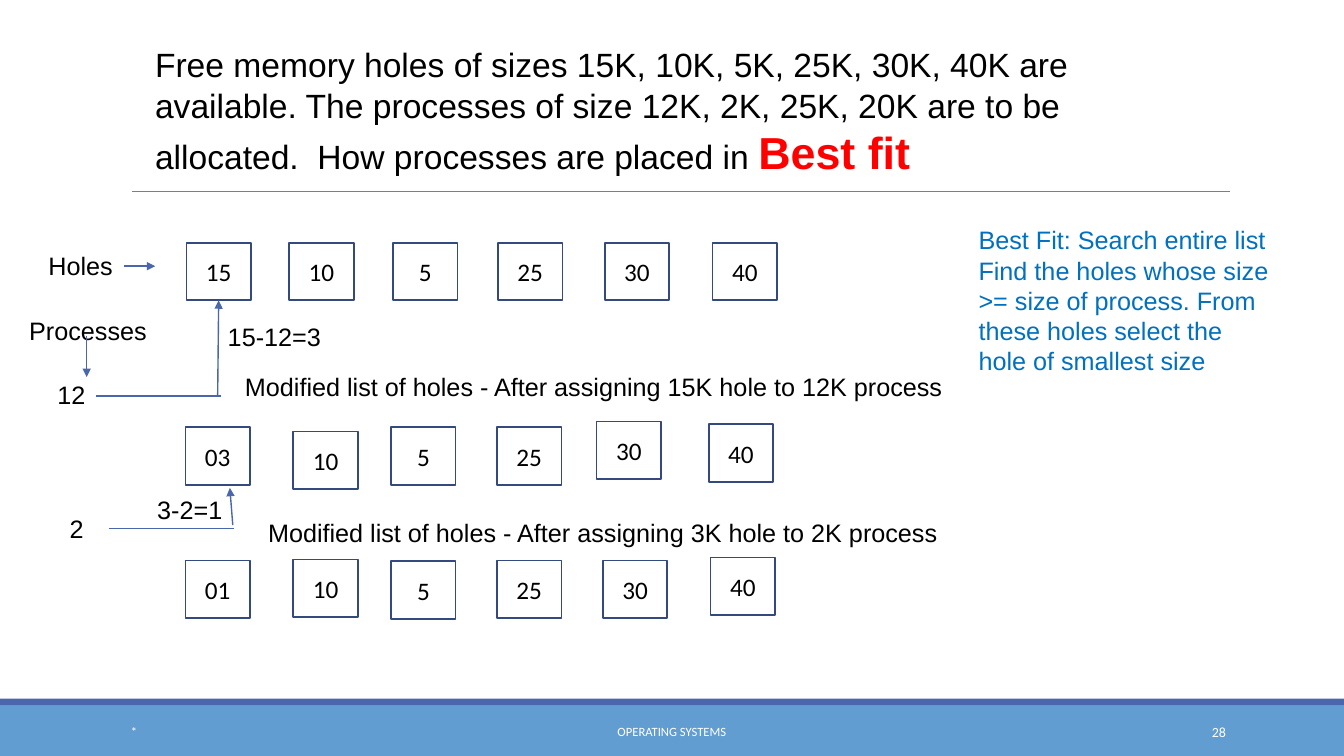
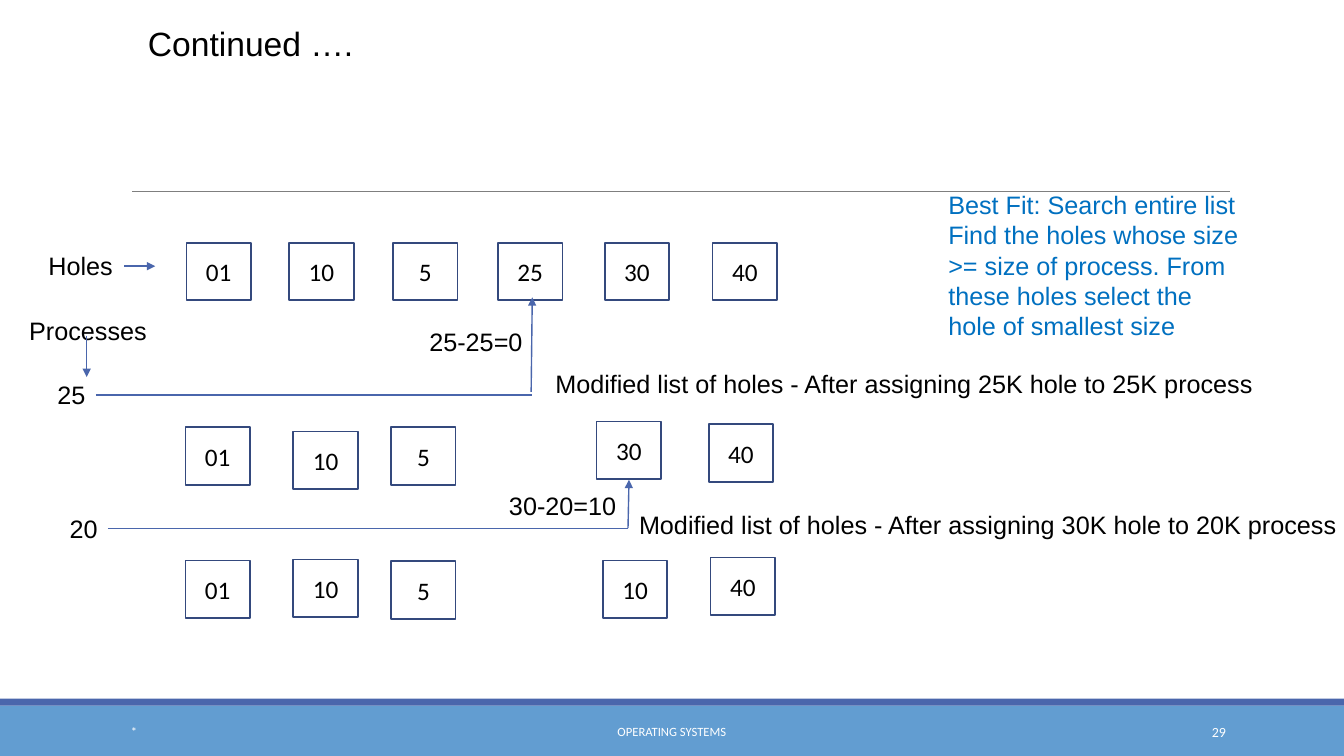
from pptx import Presentation
from pptx.dml.color import RGBColor
from pptx.enum.shapes import MSO_CONNECTOR as Connector, MSO_SHAPE as Shape
from pptx.enum.text import MSO_ANCHOR as Anchor, PP_ALIGN as Align
from pptx.oxml.ns import qn
from pptx.util import Pt
from lxml.etree import SubElement

WIDTH, HEIGHT = 960, 540
BOX_WIDTH, BOX_HEIGHT = 46.1, 41

# Left and top of the six boxes in each row of holes
ROWS = [
    [(133.2, 173.5), (206.6, 173.5), (280.8, 173.5),
     (355.7, 173.5), (432, 173.5), (509, 173.5)],
    [(132.5, 305.3), (209.5, 308.2), (279.4, 305.3),
     (355, 305.3), (426.2, 301), (506.2, 303.1)],
    [(132.5, 400.3), (209.5, 399.6), (279.4, 401),
     (355, 400.3), (430.6, 400.3), (507.6, 398.2)],
]
PROCESS_PLACES = [(41, 270.7), (49.7, 366.5)]
NOTE = [
    "Best Fit: Search entire list",
    "Find the holes whose size >= size of process. "
    "From these holes select the hole of smallest size",
]


def color(value):
    return RGBColor.from_string(value)


class Deck:
    BLACK, WHITE, RED, NOTE_BLUE = "000000", "FFFFFF", "FF0000", "0070C0"
    BAND, ACCENT, BOX_LINE, RULE = "629DD1", "4A66AC", "34497D", "7F7F7F"
    BODY_FONT, BOX_FONT = "Arial", "Calibri"

    def __init__(self):
        self.presentation = Presentation()
        self.presentation.slide_width = Pt(WIDTH)
        self.presentation.slide_height = Pt(HEIGHT)
        self.slide = None

    def new_slide(self, number):
        """Add a blank slide with the shared rule, bands and footer."""
        layout = self.presentation.slide_layouts[6]
        self.slide = self.presentation.slides.add_slide(layout)
        self.line((94.5, 136.8), (878.4, 136.8), self.RULE, 0.75)
        self.rectangle(0, 504, WIDTH, 36, fill=self.BAND)
        self.rectangle(0, 499, WIDTH, 5, fill=self.ACCENT)
        footers = [
            (86.4, 194.4, "*", 9, Align.LEFT),
            (290.2, 379.4, "OPERATING SYSTEMS", 9, Align.CENTER),
            (779.8, 103, str(number), 10, Align.RIGHT),
        ]
        for left, width, text, size, align in footers:
            self.text(left, 508.3, width, [text], height=28.8, size=size,
                      font=self.BOX_FONT, ink=self.WHITE, align=align,
                      anchor=Anchor.MIDDLE)

    def add_run(self, paragraph, text, size, font, ink, bold=False):
        run = paragraph.add_run()
        run.text = text
        style = {"size": Pt(size), "name": font, "bold": bold}
        for name, value in style.items():
            setattr(run.font, name, value)
        run.font.color.rgb = color(ink)

    def fill_frame(self, frame, lines, size, font, ink, align, anchor):
        """Fill a text frame with one paragraph for each line."""
        frame.word_wrap = True
        frame.vertical_anchor = anchor
        for index, line in enumerate(lines):
            paragraph = frame.add_paragraph() if index else frame.paragraphs[0]
            paragraph.alignment = align
            self.add_run(paragraph, line, size, font, ink)

    def text(self, left, top, width, lines, height=28.8, size=18,
             font=BODY_FONT, ink=BLACK, align=Align.LEFT, anchor=Anchor.TOP,
             inset=True):
        shape = self.slide.shapes.add_textbox(
            Pt(left), Pt(top), Pt(width), Pt(height))
        frame = shape.text_frame
        if not inset:
            for side in ("left", "right", "top", "bottom"):
                setattr(frame, f"margin_{side}", 0)
        self.fill_frame(frame, lines, size, font, ink, align, anchor)
        return shape

    def label(self, place, text):
        left, top = place
        self.text(left, top, min(520, WIDTH - left), [text], height=21.6,
                  inset=False)

    def title(self, left, top, height, text, emphasis=""):
        shape = self.text(left, top, 700, [text], height=height, size=24)
        if emphasis:
            self.add_run(shape.text_frame.paragraphs[0], emphasis, 32,
                         self.BODY_FONT, self.RED, bold=True)

    def note(self, left, top):
        self.text(left, top, 223.2, NOTE, height=116.6, ink=self.NOTE_BLUE)

    def rectangle(self, left, top, width, height, fill=None, outline=None):
        shape = self.slide.shapes.add_shape(
            Shape.RECTANGLE, Pt(left), Pt(top), Pt(width), Pt(height))
        shape.shadow.inherit = False
        if fill:
            shape.fill.solid()
            shape.fill.fore_color.rgb = color(fill)
        else:
            shape.fill.background()
        if outline:
            shape.line.color.rgb = color(outline)
            shape.line.width = Pt(1.25)
        else:
            shape.line.fill.background()
        return shape

    def holes(self, places, sizes):
        """Draw a row of boxes; a size of None leaves its place empty."""
        for (left, top), size in zip(places, sizes):
            if size is None:
                continue
            box = self.rectangle(left, top, BOX_WIDTH, BOX_HEIGHT,
                                 outline=self.BOX_LINE)
            self.fill_frame(box.text_frame, [size], 18, self.BOX_FONT,
                            self.BLACK, Align.CENTER, Anchor.MIDDLE)

    def line(self, start, end, ink=ACCENT, weight=1, arrow=False):
        connector = self.slide.shapes.add_connector(
            Connector.STRAIGHT, *map(Pt, start + end))
        connector.line.color.rgb = color(ink)
        connector.line.width = Pt(weight)
        properties = connector._element.spPr
        if arrow:
            SubElement(properties.find(qn("a:ln")), qn("a:tailEnd"),
                       type="triangle")
        SubElement(properties, qn("a:effectLst"))

    def allocation(self, rows, steps):
        """Draw the rows of holes and the steps that lead between them."""
        self.label((34.6, 178.6), "Holes")
        self.line((88.6, 190.1), (110.9, 190.1), arrow=True)
        self.label((20.9, 225.4), "Processes")
        self.line((61.9, 239.8), (61.9, 269.3), arrow=True)
        for places, sizes in zip(ROWS, rows):
            self.holes(places, sizes)
        for place, step in zip(PROCESS_PLACES, steps):
            hole, process = step["hole"], step["process"]
            self.label(place, str(process))
            self.line(*step["track"])
            self.line(*step["arrow"], arrow=True)
            self.label(step["sum_at"], f"{hole}-{process}={hole - process}")
            self.label(step["caption_at"],
                       "Modified list of holes - After assigning "
                       f"{hole}K hole to {process}K process")


def main():
    deck = Deck()

    deck.new_slide(28)
    deck.title(103.7, 28.1, 133.2,
               "Free memory holes of sizes 15K, 10K, 5K, 25K, 30K, 40K are "
               "available. The processes of size 12K, 2K, 25K, 20K are to be "
               "allocated.  How processes are placed in ", "Best fit")
    deck.note(691.9, 157)
    deck.allocation(
        [["15", "10", "5", "25", "30", "40"],
         ["03", "10", "5", "25", "30", "40"],
         ["01", "10", "5", "25", "30", "40"]],
        [{"hole": 15, "process": 12,
          "track": ((68.4, 283), (157.7, 283)),
          "arrow": ((155.5, 282.2), (156.2, 214.6)),
          "sum_at": (162.7, 229.7), "caption_at": (175, 265)},
         {"hole": 3, "process": 2,
          "track": ((77.8, 377.3), (167, 377.3)),
          "arrow": ((166.3, 375.1), (164.2, 348.5)),
          "sum_at": (112.3, 352.8), "caption_at": (191.5, 369.4)}])

    deck.new_slide(29)
    deck.title(98.6, 13, 36.7, "Continued ….")
    deck.note(670.3, 131.8)
    deck.allocation(
        [["01", "10", "5", "25", "30", "40"],
         ["01", "10", "5", None, "30", "40"],
         ["01", "10", "5", None, "10", "40"]],
        [{"hole": 25, "process": 25,
          "track": ((68.4, 282.2), (380.2, 282.2)),
          "arrow": ((379.4, 280), (380.2, 212.4)),
          "sum_at": (306.7, 233.3), "caption_at": (396.7, 262.8)},
         {"hole": 30, "process": 20,
          "track": ((77, 377.3), (448.6, 377.3)),
          "arrow": ((448.6, 377.3), (449.3, 342.7)),
          "sum_at": (363.6, 350), "caption_at": (456.5, 363.6)}])

    deck.presentation.save("out.pptx")


if __name__ == "__main__":
    main()
